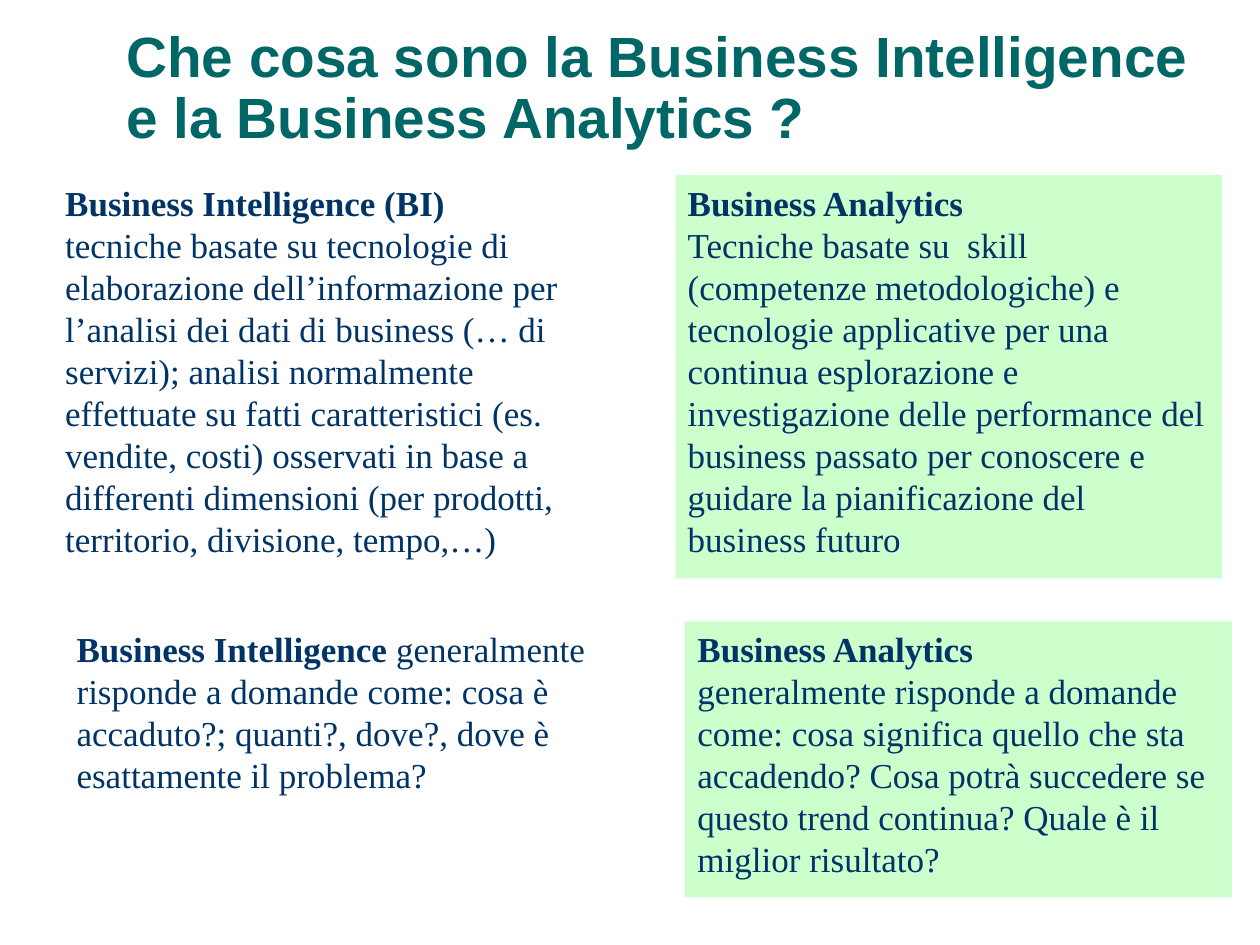
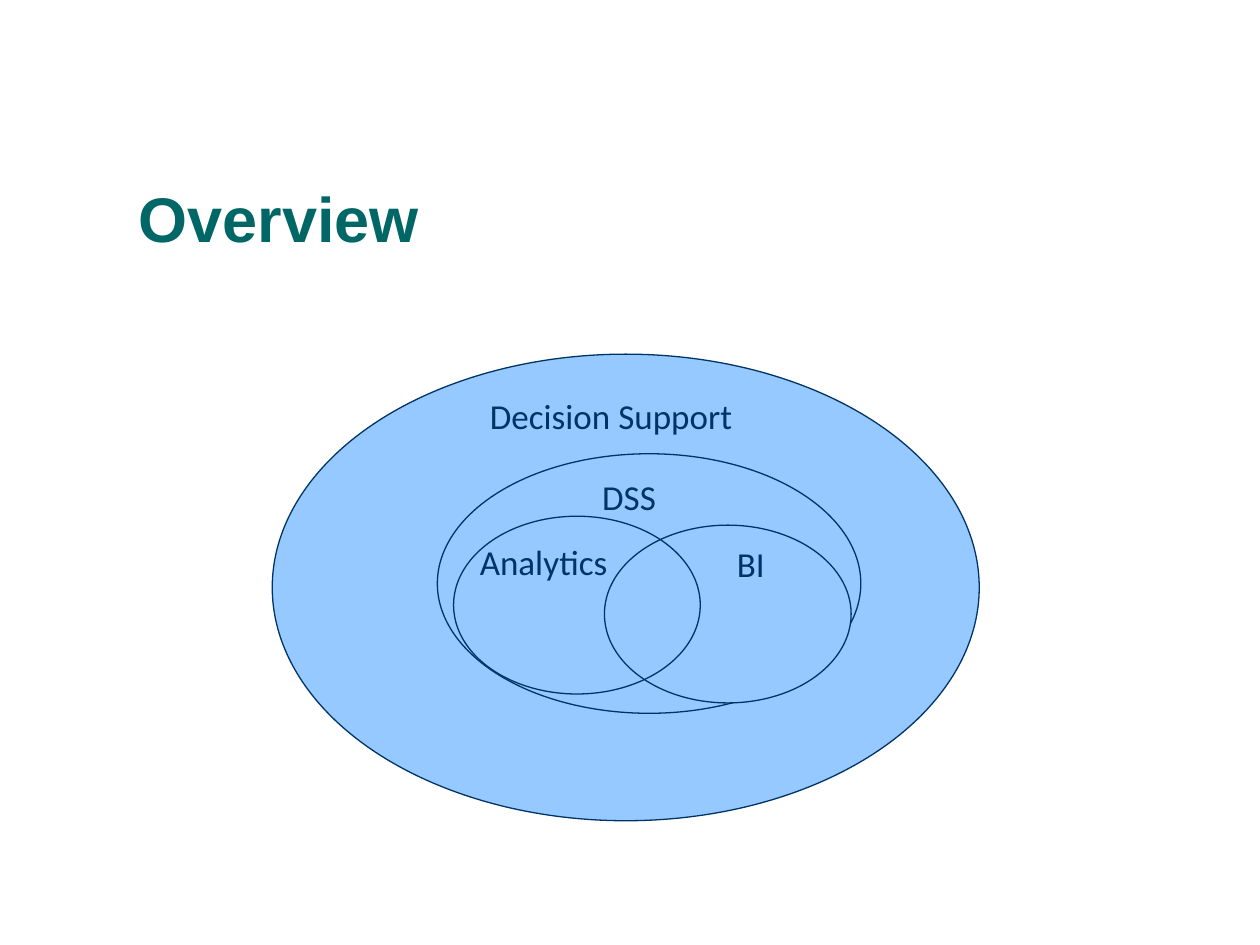
from pptx import Presentation
from pptx.dml.color import RGBColor
from pptx.enum.shapes import MSO_SHAPE as SHAPE
from pptx.enum.text import MSO_ANCHOR as ANCHOR, MSO_AUTO_SIZE as AUTO, PP_ALIGN as ALIGN
from pptx.util import Pt

TEAL = RGBColor(0x00, 0x66, 0x66)
NAVY = RGBColor(0x00, 0x33, 0x66)
WHITE = RGBColor(0xFF, 0xFF, 0xFF)
GREEN = RGBColor(0xCC, 0xFF, 0xCC)
BLUE = RGBColor(0x95, 0xC9, 0xFF)

TITLE_SIZE = (630, 90)
BOX_WIDTH = 312.5
TEXT_SIZE = 20

# (left, top, height, fill, paragraphs); a paragraph is a list of (text, bold)
DEFINITIONS = [
    (30.2, 100.1, 225.4, WHITE, [
        [("Business Intelligence (BI)", True)],
        [("tecniche basate su tecnologie di elaborazione dell’informazione per "
          "l’analisi dei dati di business (… di servizi); analisi normalmente "
          "effettuate su fatti caratteristici (es. vendite, costi) osservati in base a "
          "differenti dimensioni (per prodotti, territorio, divisione, tempo,…)", False)]]),
    (36.7, 355, 104.4, WHITE, [
        [("Business Intelligence ", True),
         ("generalmente risponde a domande come: cosa è accaduto?; quanti?, dove?, "
          "dove è esattamente il problema?", False)]]),
    (385.9, 100.1, 230.4, GREEN, [
        [("Business Analytics", True)],
        [("Tecniche basate su  skill (competenze metodologiche) e tecnologie "
          "applicative per una continua esplorazione e investigazione delle "
          "performance del business passato per conoscere e guidare la "
          "pianificazione del business futuro", False)]]),
    (391.5, 355, 157.7, GREEN, [
        [("Business Analytics", True)],
        [("generalmente risponde a domande come: cosa significa quello che sta "
          "accadendo? Cosa potrà succedere se questo trend continua? Quale è il "
          "miglior risultato?", False)]]),
]

# (left, top, width, height, fill), from back to front
SETS = [
    (155.6, 202.4, 404, 266.6, BLUE),
    (249.9, 259.3, 242, 148.3, BLUE),
    (345.4, 300.1, 141, 101.6, BLUE),
    (259.2, 295, 141, 101.6, None),
]

# (text, left, top, width)
LABELS = [
    ("Decision Support", 272.9, 221.8, 360),
    ("DSS", 337, 268, 360),
    ("Analytics", 267.1, 305.3, 89.3),
    ("BI", 414, 306.7, 59.8),
]


def add_slide(prs, title, left, top, size):
    slide = prs.slides.add_slide(prs.slide_layouts[5])
    sp = slide.shapes.title
    sp.left, sp.top, sp.width, sp.height = map(Pt, (left, top, *TITLE_SIZE))
    tf = sp.text_frame
    tf.text = title
    tf.vertical_anchor = ANCHOR.BOTTOM
    tf.auto_size = AUTO.NONE
    p = tf.paragraphs[0]
    p.alignment = ALIGN.LEFT
    p.line_spacing = 0.9
    style_font(p, "Arial", size, TEAL)
    p.font.bold = True
    return slide


def style_font(p, name, size, color):
    p.font.name = name
    p.font.size = Pt(size)
    p.font.color.rgb = color


def add_shape(slide, kind, left, top, width, height, fill):
    sp = slide.shapes.add_shape(kind, *map(Pt, (left, top, width, height)))
    sp.shadow.inherit = False
    if fill is None:
        sp.fill.background()
    else:
        sp.fill.solid()
        sp.fill.fore_color.rgb = fill
    return sp


def add_definition(slide, left, top, height, fill, paragraphs):
    sp = add_shape(slide, SHAPE.RECTANGLE, left, top, BOX_WIDTH, height, fill)
    sp.line.fill.background()
    tf = sp.text_frame
    tf.word_wrap = True
    tf.vertical_anchor = ANCHOR.TOP
    for i, runs in enumerate(paragraphs):
        p = tf.add_paragraph() if i else tf.paragraphs[0]
        p.alignment = ALIGN.LEFT
        style_font(p, "Times New Roman", TEXT_SIZE, NAVY)
        for text, bold in runs:
            r = p.add_run()
            r.text = text
            r.font.bold = bold


def add_set(slide, left, top, width, height, fill):
    sp = add_shape(slide, SHAPE.OVAL, left, top, width, height, fill)
    sp.line.color.rgb = NAVY
    sp.line.width = Pt(0.75)


def add_label(slide, text, left, top, width):
    tf = slide.shapes.add_textbox(*map(Pt, (left, top, width, 31.7))).text_frame
    tf.word_wrap = True
    tf.text = text
    style_font(tf.paragraphs[0], "Calibri", TEXT_SIZE, NAVY)


def main():
    prs = Presentation()
    prs.slide_width, prs.slide_height = Pt(720), Pt(540)

    slide = add_slide(
        prs, "Che cosa sono la Business Intelligence e la Business Analytics ?", 65, 0, 32.4)
    for definition in DEFINITIONS:
        add_definition(slide, *definition)

    slide = add_slide(prs, "Overview", 72, 60, 36)
    for ellipse in SETS:
        add_set(slide, *ellipse)
    for label in LABELS:
        add_label(slide, *label)

    prs.save("out.pptx")


if __name__ == "__main__":
    main()
